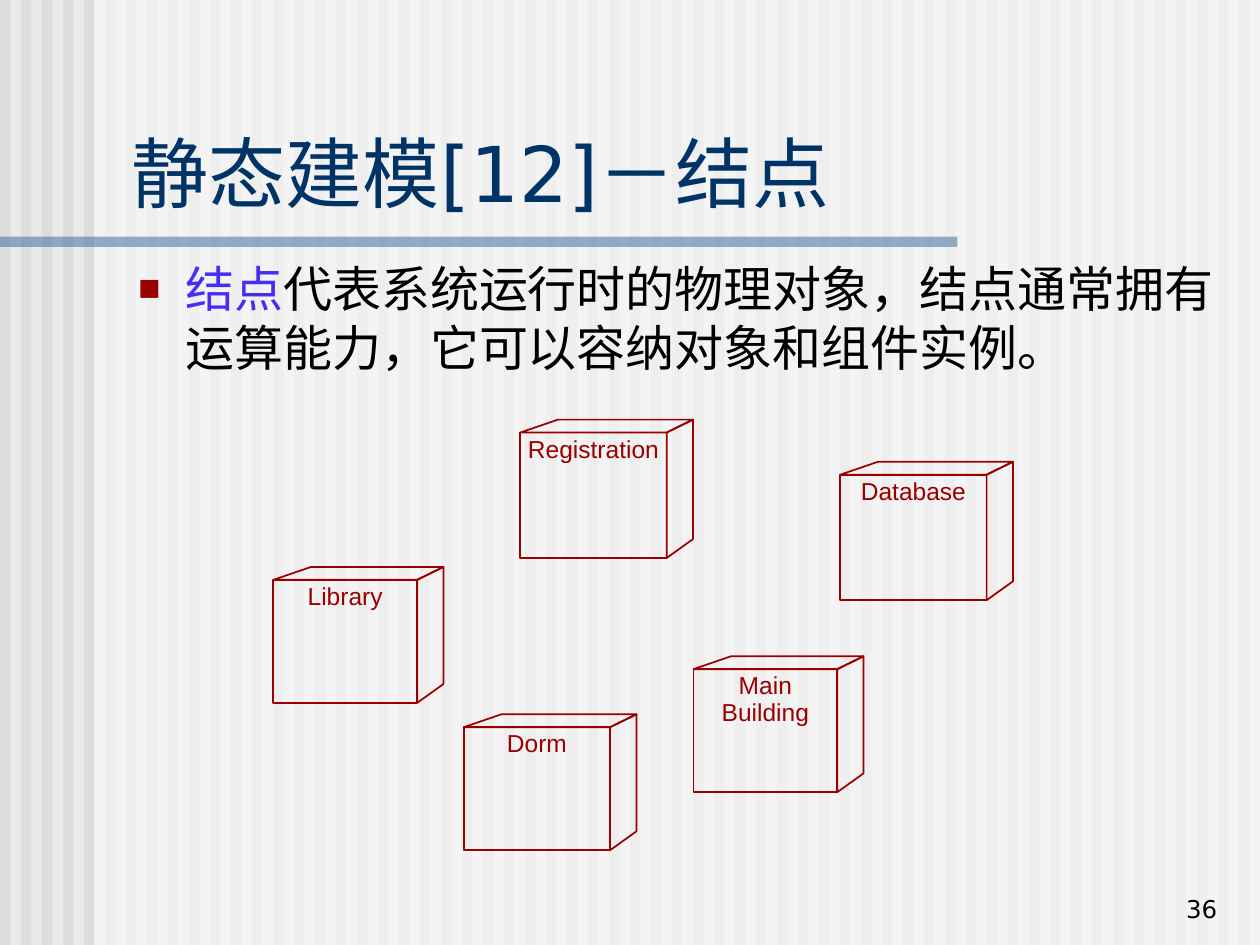
from dataclasses import dataclass

from lxml import etree
from pptx import Presentation
from pptx import util as u
from pptx.dml.color import RGBColor
from pptx.enum import shapes, text
from pptx.oxml import ns
from pptx.util import Cm


@dataclass(frozen=True)
class Theme:
    back: str = "EAEAEA"
    stripe: str = "DDDDDD"
    veil: str = "FFFFFF"
    rule: str = "336699"
    title: str = "003366"
    accent: str = "9A0000"
    key: str = "452DF5"
    ink: str = "000000"
    head_font: str = "DejaVu Sans"
    node_font: str = "Arial"
    title_pt: int = 44
    body_pt: int = 28
    small_pt: int = 14


T = Theme()
W, H = 25.4, 19.05


def add_sub(parent, tag, **attrs):
    return etree.SubElement(parent, ns.qn(tag), attrs)


def add_text(parent, box, runs, *, size, font=T.head_font, inset=(0.25, 0.13), wrap=True,
             anchor=text.MSO_ANCHOR.TOP, align=text.PP_ALIGN.LEFT):
    """Put one paragraph of (wording, colour) runs in a text box."""
    sp = parent.add_textbox(*map(Cm, box))
    tf = sp.text_frame
    tf.word_wrap, tf.vertical_anchor = wrap, anchor
    tf.margin_left = tf.margin_right = Cm(inset[0])
    tf.margin_top = tf.margin_bottom = Cm(inset[1])
    p = tf.paragraphs[0]
    p.alignment = align
    for wording, colour in runs:
        r = p.add_run()
        r.text = wording
        r.font.size, r.font.name = u.Pt(size), font
        r.font.color.rgb = RGBColor.from_string(colour)
        add_sub(r.font._element, "a:ea", typeface=font)
    return p


def add_rect(parent, box, fill, alpha=None):
    sp = parent.add_shape(shapes.MSO_SHAPE.RECTANGLE, *map(Cm, box))
    sp.shadow.inherit = False
    sp.line.fill.background()
    sp.fill.solid()
    sp.fill.fore_color.rgb = RGBColor.from_string(fill)
    if alpha is not None:
        clr = sp.fill._xPr.find(".//" + ns.qn("a:srgbClr"))
        add_sub(clr, "a:alpha", val=str(alpha * 1000))


def outline(sp):
    sp.shadow.inherit = False
    sp.fill.background()
    sp.line.color.rgb = RGBColor.from_string(T.accent)
    sp.line.width = u.Pt(1)


def add_face(parent, points):
    start, *rest = [(Cm(x), Cm(y)) for x, y in points]
    builder = parent.build_freeform(*start, scale=1.0)
    builder.add_line_segments(rest, close=True)
    outline(builder.convert_to_shape())


def backdrop(s, x, y, w, h):
    s.background.fill.solid()
    s.background.fill.fore_color.rgb = RGBColor.from_string(T.back)
    parts = s.shapes.add_group_shape().shapes
    count = 60
    for i in range(count):
        add_rect(parts, (x + i * w / count, y, w / count / 2, h), T.stripe)
    add_rect(parts, (x + 1.9, y, w - 1.9, h), T.veil, alpha=50)
    add_rect(parts, (x, y + 4.77, 19.3, 0.21), T.rule, alpha=50)


def heading(s, box):
    add_text(s.shapes, box, [("静态建模[12]－结点", T.title)], size=T.title_pt,
             anchor=text.MSO_ANCHOR.BOTTOM)


def body(s, box):
    p = add_text(s.shapes, box, [
        ("结点", T.key),
        ("代表系统运行时的物理对象，结点通常拥有运算能力，它可以容纳对象和组件实例。", T.ink),
    ], size=T.body_pt)
    p.space_before = u.Pt(7)
    pPr = p._p.get_or_add_pPr()
    indent = Cm(0.95)
    pPr.set("marL", str(indent))
    pPr.set("indent", str(-indent))
    add_sub(add_sub(pPr, "a:buClr"), "a:srgbClr", val=T.accent)
    add_sub(pPr, "a:buSzPct", val="48000")
    add_sub(pPr, "a:buFont", typeface=T.head_font)
    add_sub(pPr, "a:buChar", char="■")


def node(s, x, y, w, h, labels):
    """Draw a cube in the box, with centred label lines given as (wording, width)."""
    side, rise, slant, drop = 0.53, 0.26, 0.76, 0.38
    front, top, right, bottom = x + w - side, y + rise, x + w, y + h
    parts = s.shapes.add_group_shape().shapes

    # Front, top and right faces
    outline(parts.add_shape(shapes.MSO_SHAPE.RECTANGLE,
                            *map(Cm, (x, top, front - x, bottom - top))))
    add_face(parts, [(x, top), (x + slant, y), (right, y), (front, top)])
    add_face(parts, [(front, top), (right, y), (right, bottom - drop), (front, bottom)])

    # Label lines, each in a box a little wider than its wording
    for i, (wording, width) in enumerate(labels):
        add_text(parts, ((x + front - width) / 2, top + 0.02 + i * 0.55, width, 0.58),
                 [(wording, T.accent)], size=T.small_pt, font=T.node_font,
                 inset=(0, 0), wrap=False, align=text.PP_ALIGN.CENTER)


def page_number(s, box):
    add_text(s.shapes, box, [("36", T.ink)], size=T.small_pt,
             anchor=text.MSO_ANCHOR.BOTTOM, align=text.PP_ALIGN.RIGHT)


NODES = [
    ((10.49, 8.46, 3.48, 2.79), [("Registration", 2.85)]),
    ((16.94, 9.31, 3.48, 2.79), [("Database", 2.3)]),
    ((5.51, 11.43, 3.43, 2.74), [("Library", 1.7)]),
    ((9.35, 14.4, 3.48, 2.74), [("Dorm", 1.4)]),
    ((13.98, 13.23, 3.43, 2.74), [("Main", 1.4), ("Building", 2)]),
]


def main():
    prs = Presentation()
    prs.slide_width, prs.slide_height = Cm(W), Cm(H)
    s = prs.slides.add_slide(prs.slide_layouts[6])
    backdrop(s, 0, 0, W, H)
    heading(s, (2.41, 2.39, 22.68, 2.13))
    body(s, (2.54, 5.08, 22.53, 2.74))
    for box, labels in NODES:
        node(s, *box, labels)
    page_number(s, (19.51, 17.48, 5.28, 1.27))
    prs.save("out.pptx")


if __name__ == "__main__":
    main()
